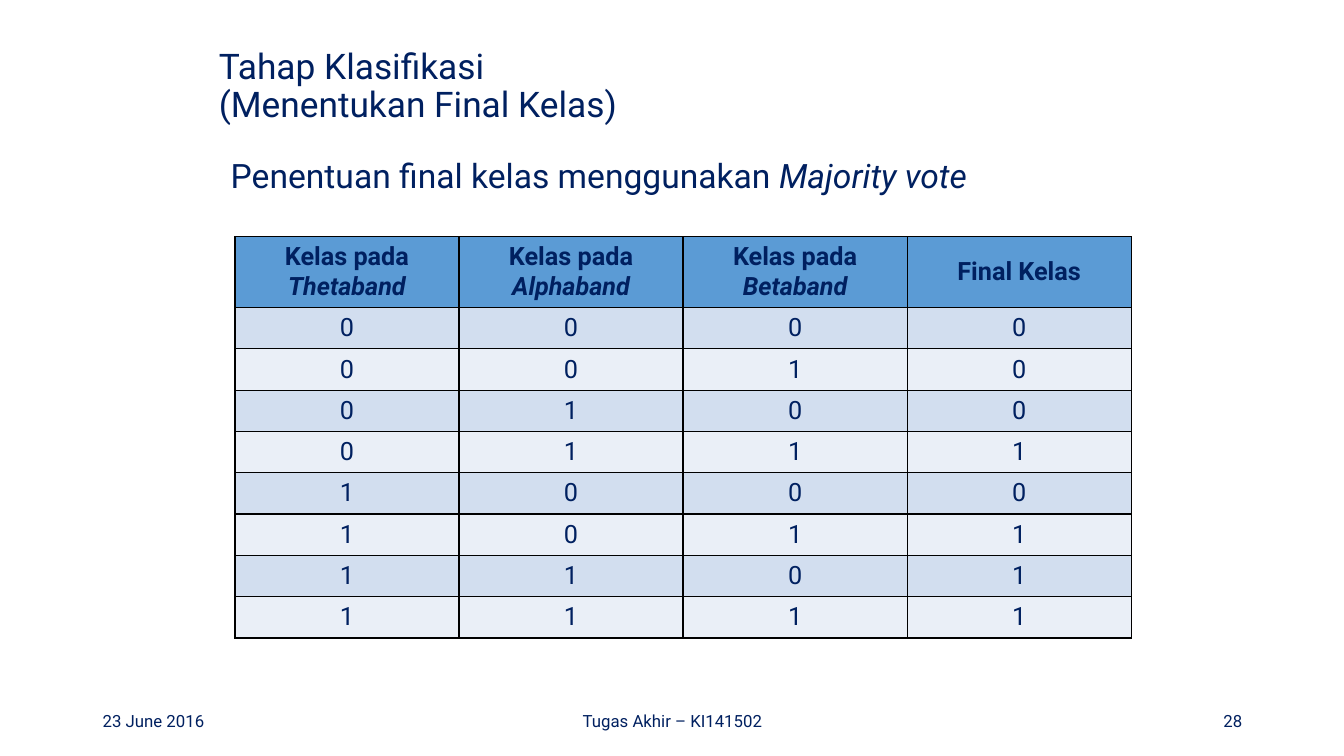
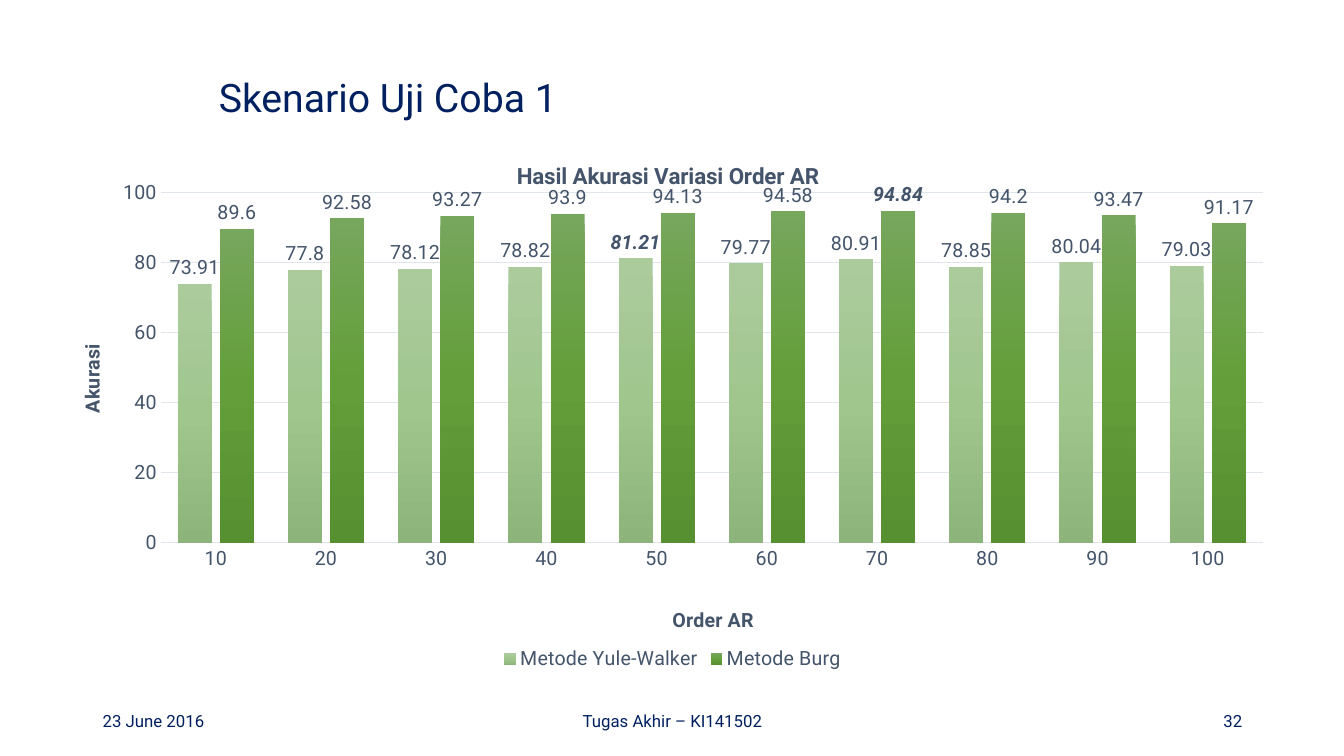
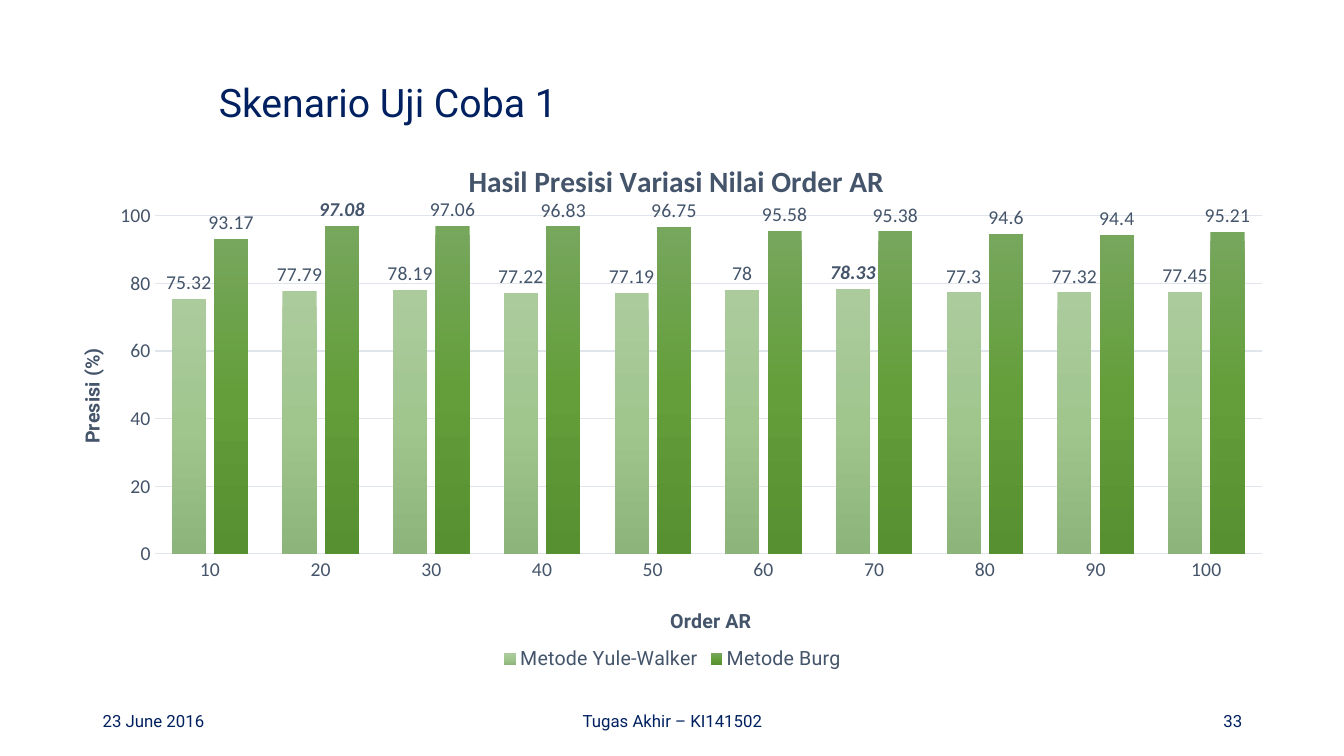
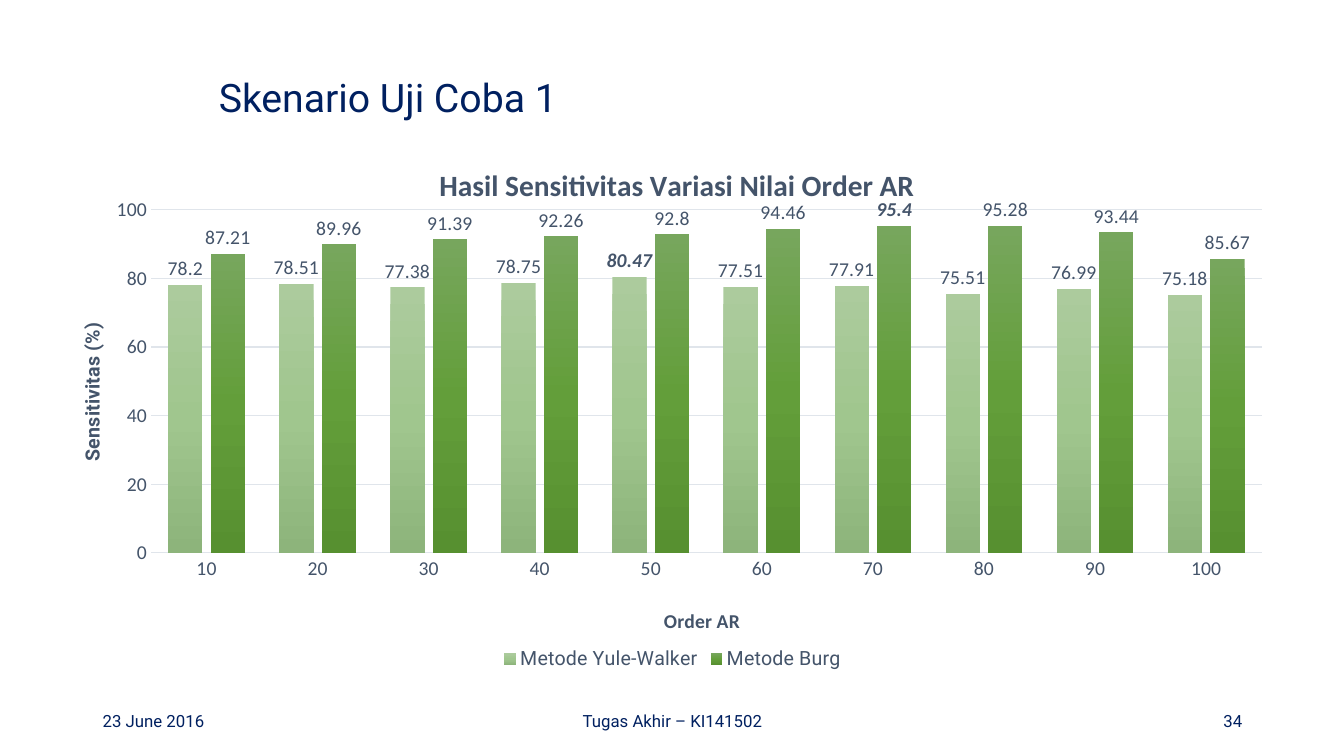
from dataclasses import dataclass
from copy import deepcopy

from pptx import Presentation
from pptx.chart.data import CategoryChartData
from pptx.dml.color import RGBColor
from pptx.enum.chart import XL_CHART_TYPE as ChartType
from pptx.enum.chart import XL_LABEL_POSITION as LabelPosition
from pptx.enum.chart import XL_LEGEND_POSITION as LegendPosition
from pptx.enum.chart import XL_TICK_MARK as TickMark
from pptx.enum.text import MSO_ANCHOR as Anchor
from pptx.enum.text import MSO_AUTO_SIZE as AutoSize
from pptx.enum.text import PP_ALIGN as Align
from pptx.oxml import parse_xml
from pptx.oxml.ns import nsdecls
from pptx.util import Inches, Pt

NAVY = RGBColor(0x00, 0x20, 0x60)
SLATE = RGBColor(0x44, 0x54, 0x6A)
GRID = RGBColor(0xE0, 0xE5, 0xEB)
HEADER_BLUE = RGBColor(0x5B, 0x9B, 0xD5)
BAND_COLORS = (RGBColor(0xD2, 0xDE, 0xEF), RGBColor(0xEA, 0xEF, 0xF7))
YULE_WALKER_GREENS = (
    RGBColor(0xAC, 0xCB, 0x9D), RGBColor(0xA0, 0xC6, 0x8E), RGBColor(0x8D, 0xB4, 0x7B))
BURG_GREENS = (
    RGBColor(0x77, 0xA6, 0x5D), RGBColor(0x63, 0x9E, 0x3A), RGBColor(0x57, 0x90, 0x30))

ROBOTO = "Roboto"
CALIBRI = "Calibri"
DATE = "23 June 2016"
COURSE = "Tugas Akhir – KI141502"
ORDERS = [str(order) for order in range(10, 101, 10)]
SCENARIO = "Skenario Uji Coba 1"


@dataclass
class Result:
    page: int
    heading: str
    measure: str
    yule_walker: tuple
    burg: tuple
    title_top: float
    font: str
    heading_size: int
    order_font: str
    plot: tuple
    heading_at: tuple
    order_at: tuple
    measure_at: tuple


RESULTS = (
    Result(
        32, "Hasil Akurasi Variasi Order AR", "Akurasi",
        (73.91, 77.8, 78.12, 78.82, 81.21, 79.77, 80.91, 78.85, 80.04, 79.03),
        (89.6, 92.58, 93.27, 93.9, 94.13, 94.58, 94.84, 94.2, 93.47, 91.17),
        0.53, ROBOTO, 16, ROBOTO, (0.077, 0.108, 0.911, 0.647),
        (0.368, 0.043), (0.497, 0.865), (0.006, 0.382)),
    Result(
        33, "Hasil Presisi Variasi Nilai Order AR", "Presisi (%)",
        (75.32, 77.79, 78.19, 77.22, 77.19, 78, 78.33, 77.3, 77.32, 77.45),
        (93.17, 97.08, 97.06, 96.83, 96.75, 95.58, 95.38, 94.6, 94.4, 95.21),
        0.57, CALIBRI, 21, ROBOTO, (0.072, 0.151, 0.915, 0.625),
        (0.327, 0.04), (0.495, 0.867), (0.006, 0.389)),
    Result(
        34, "Hasil Sensitivitas Variasi Nilai Order AR", "Sensitivitas (%)",
        (78.2, 78.51, 77.38, 78.75, 80.47, 77.51, 77.91, 75.51, 76.99, 75.18),
        (87.21, 89.96, 91.39, 92.26, 92.8, 94.46, 95.4, 95.28, 93.44, 85.67),
        0.53, CALIBRI, 21, CALIBRI, (0.069, 0.14, 0.918, 0.634),
        (0.303, 0.047), (0.49, 0.868), (0.006, 0.342)),
)

VOTES = [(a, b, c, int(a + b + c > 1)) for a in (0, 1) for b in (0, 1) for c in (0, 1)]


def style(font, size, color=NAVY, name=ROBOTO, bold=False, italic=False):
    font.size = Pt(size)
    font.name = name
    font.color.rgb = color
    font.bold = bold
    font.italic = italic


def add_text(slide, text, left, top, width, height, size,
             align=Align.LEFT, anchor=Anchor.MIDDLE):
    frame = slide.shapes.add_textbox(
        Inches(left), Inches(top), Inches(width), Inches(height)).text_frame
    frame.word_wrap = True
    frame.vertical_anchor = anchor
    line = frame.paragraphs[0]
    line.text = text
    line.alignment = align
    style(line.font, size)
    return line


def add_slide(deck, title, page, title_top, title_size):
    slide = deck.slides.add_slide(deck.slide_layouts[5])
    holder = slide.shapes.title
    holder.left, holder.top = Inches(2.07), Inches(title_top)
    holder.width, holder.height = Inches(11), Inches(0.93)
    frame = holder.text_frame
    frame.auto_size = AutoSize.NONE
    frame.vertical_anchor = Anchor.MIDDLE
    line = frame.paragraphs[0]
    line.text = title
    line.alignment = Align.LEFT
    line.line_spacing = 0.9
    style(line.font, title_size)
    for text, left, width, align in (
            (DATE, 0.92, 3, Align.LEFT),
            (COURSE, 4.42, 4.5, Align.CENTER),
            (str(page), 9.42, 3, Align.RIGHT)):
        add_text(slide, text, left, 6.95, width, 0.4, 12, align)
    return slide


def add_borders(cell):
    properties = cell._tc.get_or_add_tcPr()
    for index, side in enumerate(("lnL", "lnR", "lnT", "lnB")):
        properties.insert(index, parse_xml(
            f'<a:{side} {nsdecls("a")} w="12700"><a:solidFill>'
            f'<a:srgbClr val="000000"/></a:solidFill></a:{side}>'))


def fill_cell(cell, lines, color, bold=False):
    cell.fill.solid()
    cell.fill.fore_color.rgb = color
    cell.vertical_anchor = Anchor.MIDDLE
    cell.text = "\n".join(lines)
    for index, line in enumerate(cell.text_frame.paragraphs):
        line.alignment = Align.CENTER
        style(line.font, 18, bold=bold, italic=index > 0)
    add_borders(cell)


def add_vote_table(slide):
    headers = [("Kelas pada", band) for band in ("Thetaband", "Alphaband", "Betaband")]
    headers.append(("Final Kelas",))
    table = slide.shapes.add_table(
        len(VOTES) + 1, len(headers),
        Inches(2.33), Inches(2.35), Inches(8.89), Inches(3.94)).table
    for row in table.rows:
        row.height = Inches(0.41)
    table.rows[0].height = Inches(0.68)
    for column, lines in enumerate(headers):
        fill_cell(table.cell(0, column), lines, HEADER_BLUE, bold=True)
    for row, votes in enumerate(VOTES):
        for column, vote in enumerate(votes):
            fill_cell(table.cell(row + 1, column), [str(vote)], BAND_COLORS[row % 2])


def layout_xml(x, y, size=None):
    parts = '<c:xMode val="edge"/><c:yMode val="edge"/>'
    values = f'<c:x val="{x}"/><c:y val="{y}"/>'
    if size:
        parts = '<c:layoutTarget val="inner"/>' + parts
        values += f'<c:w val="{size[0]}"/><c:h val="{size[1]}"/>'
    return parse_xml(f'<c:layout {nsdecls("c")}><c:manualLayout>{parts}{values}'
                     '</c:manualLayout></c:layout>')


def drop_layout(element):
    for layout in element.xpath("c:layout"):
        element.remove(layout)


def set_chart_title(title, text, size, name, position):
    line = title.text_frame.paragraphs[0]
    line.text = text
    style(line.font, size, SLATE, name, bold=True)
    element = title._element
    drop_layout(element)
    element.xpath("c:tx")[0].addnext(layout_xml(*position))


def place_plot(chart, plot):
    area = chart._chartSpace.xpath("c:chart/c:plotArea")[0]
    drop_layout(area)
    area.insert(0, layout_xml(*plot[:2], plot[2:]))


def fill_gradient(series, colors):
    fill = series.format.fill
    fill.gradient()
    fill.gradient_angle = 270
    stop_list = series._element.xpath("c:spPr/a:gradFill/a:gsLst")[0]
    stop_list.insert(1, deepcopy(stop_list[0]))
    for index, (stop, color) in enumerate(zip(fill.gradient_stops, colors)):
        stop.position = index / 2
        stop.color.rgb = color


def label_series(series, values, name):
    labels = series.data_labels
    labels.show_value = True
    labels.position = LabelPosition.OUTSIDE_END
    style(labels.font, 14, SLATE, name)
    best = series.points[values.index(max(values))].data_label
    style(best.font, 14, SLATE, name, bold=True, italic=True)
    best.position = LabelPosition.OUTSIDE_END


def style_axis(axis, name):
    axis.major_tick_mark = axis.minor_tick_mark = TickMark.NONE
    style(axis.tick_labels.font, 14, SLATE, name)


def style_line(line):
    line.color.rgb = GRID
    line.width = Pt(0.75)


def add_result_chart(slide, result):
    methods = (("Metode Yule-Walker", result.yule_walker, YULE_WALKER_GREENS),
               ("Metode Burg", result.burg, BURG_GREENS))
    data = CategoryChartData()
    data.categories = ORDERS
    for method, values, _ in methods:
        data.add_series(method, values)
    chart = slide.shapes.add_chart(
        ChartType.COLUMN_CLUSTERED,
        Inches(0.67), Inches(1.33), Inches(12), Inches(5.37), data).chart
    style(chart.font, 14, SLATE, result.font)

    orders, scores = chart.category_axis, chart.value_axis
    for axis in (orders, scores):
        style_axis(axis, result.font)
    style_line(orders.format.line)
    scores.format.line.fill.background()
    scores.minimum_scale, scores.maximum_scale, scores.major_unit = 0, 100, 20
    style_line(scores.major_gridlines.format.line)

    chart.has_title = True
    set_chart_title(chart.chart_title, result.heading, result.heading_size,
                    result.font, result.heading_at)
    set_chart_title(orders.axis_title, "Order AR", 14, result.order_font, result.order_at)
    set_chart_title(scores.axis_title, result.measure, 14, ROBOTO, result.measure_at)
    place_plot(chart, result.plot)

    chart.has_legend = True
    chart.legend.position = LegendPosition.BOTTOM
    chart.legend.include_in_layout = False
    style(chart.legend.font, 14, SLATE)

    columns = chart.plots[0]
    columns.gap_width, columns.overlap, columns.vary_by_categories = 100, -24, False
    for series, (_, values, colors) in zip(columns.series, methods):
        fill_gradient(series, colors)
        label_series(series, values, result.font)


def add_vote_slide(deck):
    slide = add_slide(deck, "Tahap Klasifikasi\v(Menentukan Final Kelas)", 28, 0.4, 25.2)
    statement = add_text(slide, "Penentuan final kelas menggunakan ",
                         2.19, 1.53, 10.48, 0.5, 24, anchor=Anchor.TOP)
    statement.line_spacing = 0.9
    method = statement.add_run()
    method.text = "Majority vote"
    method.font.italic = True
    add_vote_table(slide)


def main():
    deck = Presentation()
    deck.slide_width, deck.slide_height = Inches(13.33), Inches(7.5)
    add_vote_slide(deck)
    for result in RESULTS:
        slide = add_slide(deck, SCENARIO, result.page, result.title_top, 28)
        add_result_chart(slide, result)
    deck.save("out.pptx")


if __name__ == "__main__":
    main()
